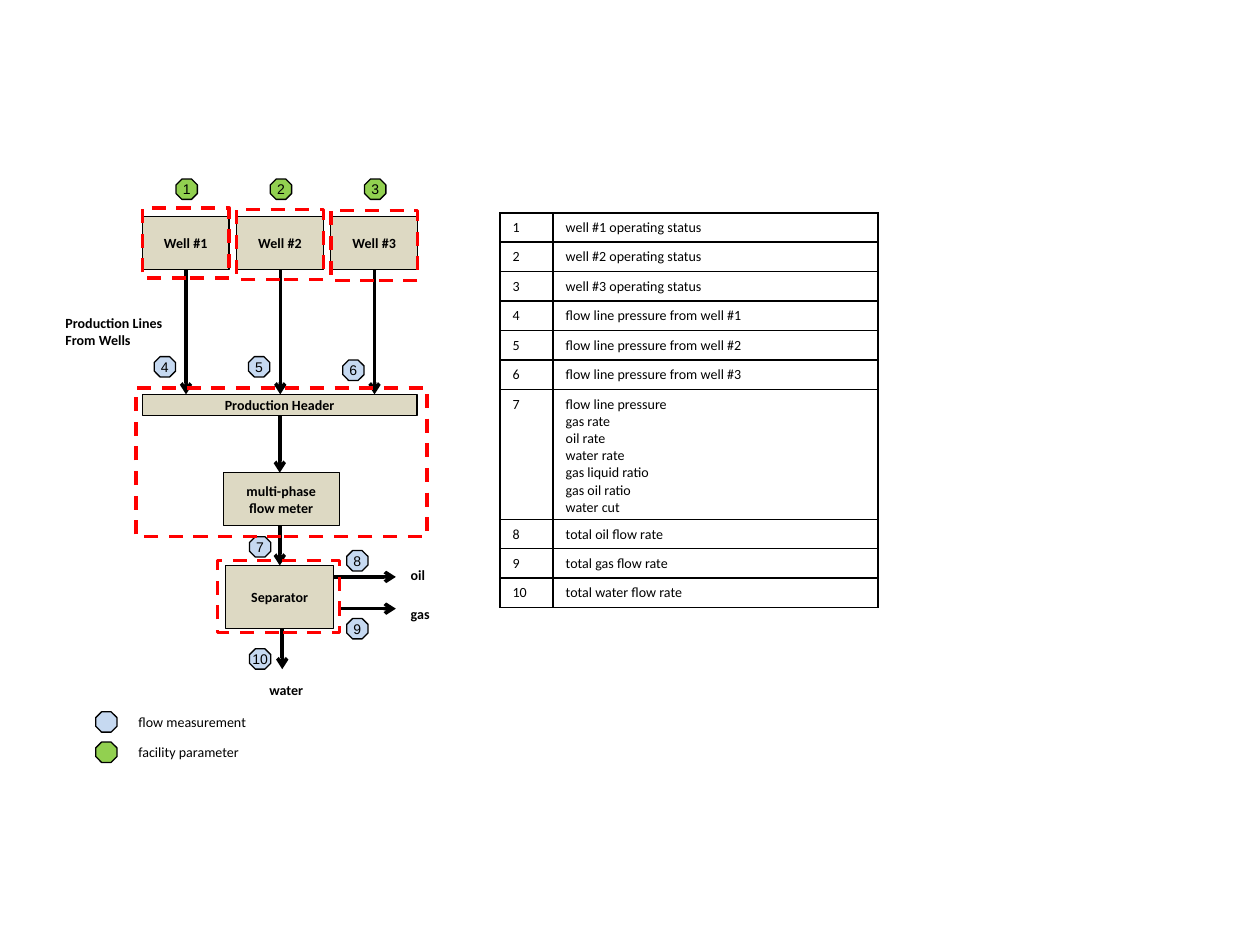
import dataclasses

import pptx
import pptx.dml.color
import pptx.enum.dml
import pptx.enum.shapes
import pptx.enum.text
import pptx.oxml
import pptx.oxml.ns
import pptx.util
from pptx.util import Cm

MSO = pptx.enum.shapes.MSO_SHAPE
ALIGN = pptx.enum.text.PP_ALIGN
ANCHOR = pptx.enum.text.MSO_ANCHOR
NS = pptx.oxml.ns.nsdecls("a")


@dataclasses.dataclass(frozen=True)
class Theme:
    """Colours, fonts and sizes of the slide."""
    ink: str = "000000"
    box: str = "DDD9C3"
    flow: str = "C6D9F1"
    facility: str = "92D050"
    zone: str = "FF0000"
    font: str = "Calibri"
    mark_font: str = "Arial"
    size: float = 8
    thin: float = 0.75
    grid: float = 1
    thick: float = 2


def rgb(value):
    """Turn a hex string into a colour."""
    return pptx.dml.color.RGBColor.from_string(value)


def put_text(tf, text, *, font, size, color, bold=False, align=ALIGN.LEFT):
    """Write text into a frame, one paragraph a line."""
    for i, line in enumerate(text.split("\n")):
        p = tf.add_paragraph() if i else tf.paragraphs[0]
        p.alignment = align
        r = p.add_run()
        r.text = line
        r.font.name, r.font.size, r.font.bold = font, pptx.util.Pt(size), bold
        r.font.color.rgb = rgb(color)


class Diagram:
    """Draws the elements of the process diagram on one slide."""

    def __init__(self, s, theme):
        """Keep the slide and its style."""
        self.s, self.t = s, theme
        self.body = dict(font=theme.font, size=theme.size, color=theme.ink)

    def stroke(self, line, color, width):
        """Set the colour and width of a line."""
        line.color.rgb = rgb(color)
        line.width = pptx.util.Pt(width)

    def shape(self, kind, x, y, w, h, fill=None):
        """Add a preset shape with a thin outline."""
        sp = self.s.shapes.add_shape(kind, Cm(x), Cm(y), Cm(w), Cm(h))
        sp.shadow.inherit = False
        if fill:
            sp.fill.solid()
            sp.fill.fore_color.rgb = rgb(fill)
        else:
            sp.fill.background()
        self.stroke(sp.line, self.t.ink, self.t.thin)
        return sp

    def box(self, text, x, y, w, h):
        """Add a labelled equipment box."""
        tf = self.shape(MSO.RECTANGLE, x, y, w, h, self.t.box).text_frame
        tf.word_wrap, tf.vertical_anchor = True, ANCHOR.MIDDLE
        put_text(tf, text, bold=True, align=ALIGN.CENTER, **self.body)

    def mark(self, text, x, y, fill):
        """Add an octagon, numbered if text is given."""
        sp = self.shape(MSO.OCTAGON, x, y, 0.43, 0.41, fill)
        sp.adjustments[0] = 0.29
        if text:
            tf = sp.text_frame
            tf.word_wrap, tf.vertical_anchor = False, ANCHOR.MIDDLE
            put_text(tf, text, align=ALIGN.CENTER,
                     **{**self.body, "font": self.t.mark_font})

    def zone(self, x, y, w, h):
        """Add a dashed frame."""
        sp = self.shape(MSO.RECTANGLE, x, y, w, h)
        self.stroke(sp.line, self.t.zone, self.t.thick)
        sp.line.dash_style = pptx.enum.dml.MSO_LINE.DASH

    def arrow(self, x1, y1, x2, y2):
        """Add a flow arrow."""
        c = self.s.shapes.add_connector(
            pptx.enum.shapes.MSO_CONNECTOR.STRAIGHT, Cm(x1), Cm(y1), Cm(x2), Cm(y2))
        self.stroke(c.line, self.t.ink, self.t.thick)
        c.line._get_or_add_ln().append(
            pptx.oxml.parse_xml(f'<a:tailEnd {NS} type="arrow"/>'))
        c._element.spPr.append(pptx.oxml.parse_xml(f"<a:effectLst {NS}/>"))

    def label(self, text, x, y, w, h=0.61, bold=True):
        """Add a free label."""
        tf = self.s.shapes.add_textbox(Cm(x), Cm(y), Cm(w), Cm(h)).text_frame
        tf.word_wrap = False
        tf.auto_size = pptx.enum.text.MSO_AUTO_SIZE.SHAPE_TO_FIT_TEXT
        put_text(tf, text, bold=bold, **self.body)

    def cell(self, cell, text):
        """Fill one table cell and draw its borders."""
        cell.fill.background()
        put_text(cell.text_frame, text, **self.body)
        tc_pr = cell._tc.get_or_add_tcPr()
        for i, side in enumerate(("lnL", "lnR", "lnT", "lnB")):
            tc_pr.insert(i, pptx.oxml.parse_xml(
                f'<a:{side} {NS} w="{pptx.util.Pt(self.t.grid)}"><a:solidFill>'
                f'<a:srgbClr val="{self.t.ink}"/></a:solidFill></a:{side}>'))

    def table(self, entries, x, y, widths, height, row_height):
        """Add a numbered table of entries."""
        frame = self.s.shapes.add_table(
            len(entries), 2, Cm(x), Cm(y), Cm(sum(widths)), Cm(height))
        tbl = frame.table
        tbl.first_row = tbl.horz_banding = False
        for col, width in zip(tbl.columns, widths):
            col.width = Cm(width)
        for i, entry in enumerate(entries):
            tbl.rows[i].height = Cm(row_height)
            self.cell(tbl.cell(i, 0), str(i + 1))
            self.cell(tbl.cell(i, 1), entry)
        frame.height = Cm(height)


def draw_wells(d):
    """Draw the three wells, their lines and their marks."""
    for i, (zone_y, mark_y) in enumerate(((4.19, 7.19), (4.22, 7.19), (4.24, 7.26))):
        shift = 1.9 * i
        d.box(f"Well #{i + 1}", 2.87 + shift, 4.37, 1.75, 1.07)
        d.arrow(3.75 + shift, 5.44, 3.75 + shift, 7.95)
        d.mark(str(i + 1), 3.55 + shift, 3.61, d.t.facility)
        d.mark(str(i + 4), 3.11 + shift, mark_y, d.t.flow)
        d.zone(2.87 + shift, zone_y, 1.75, 1.42)
    d.label("Production Lines\nFrom Wells", 1.07, 6.22, 2.49, 0.94)


def draw_process(d):
    """Draw the header, meter, separator and outlets."""
    d.box("Separator", 4.55, 11.4, 2.18, 1.27)
    d.box("Production Header", 2.87, 7.95, 5.54, 0.43)
    d.box("multi-phase flow meter", 4.5, 9.53, 2.34, 1.07)
    for ends in ((5.64, 8.38, 5.64, 9.53), (5.64, 10.6, 5.64, 11.4),
                 (5.69, 12.67, 5.69, 13.49), (6.73, 11.63, 7.98, 11.63),
                 (6.81, 12.27, 7.98, 12.27)):
        d.arrow(*ends)
    for text, x, y, w in (("water", 5.18, 13.61, 1.22), ("gas", 8.03, 12.09, 0.91),
                          ("oil", 8.03, 11.3, 0.86)):
        d.label(text, x, y, w)
    for text, x, y in (("7", 5.03, 10.82), ("8", 6.99, 11.1),
                       ("9", 6.99, 12.47), ("10", 5.03, 13.08)):
        d.mark(text, x, y, d.t.flow)
    d.zone(2.74, 7.82, 5.87, 3)
    d.zone(4.39, 11.3, 2.46, 1.45)


def draw_legend(d):
    """Draw the key to the octagon colours."""
    for i, (text, fill, w) in enumerate((("flow measurement", d.t.flow, 2.72),
                                         ("facility parameter", d.t.facility, 2.57))):
        d.mark("", 1.93, 14.35 + 0.61 * i, fill)
        d.label(text, 2.54, 14.25 + 0.61 * i, w, bold=False)


def main():
    """Build and save the slide."""
    prs = pptx.Presentation()
    prs.slide_width, prs.slide_height = Cm(25.4), Cm(19.05)
    d = Diagram(prs.slides.add_slide(prs.slide_layouts[6]), Theme())
    draw_wells(d)
    draw_process(d)
    draw_legend(d)
    wells = range(1, 4)
    entries = [f"well #{n} operating status" for n in wells]
    entries += [f"flow line pressure from well #{n}" for n in wells]
    entries.append("flow line pressure\ngas rate\noil rate\nwater rate\n"
                   "gas liquid ratio\ngas oil ratio\nwater cut")
    entries += [f"total {fluid} flow rate" for fluid in ("oil", "gas", "water")]
    d.table(entries, 10.08, 4.29, (1.07, 6.55), 7.95, 0.51)
    prs.save("out.pptx")


main()
